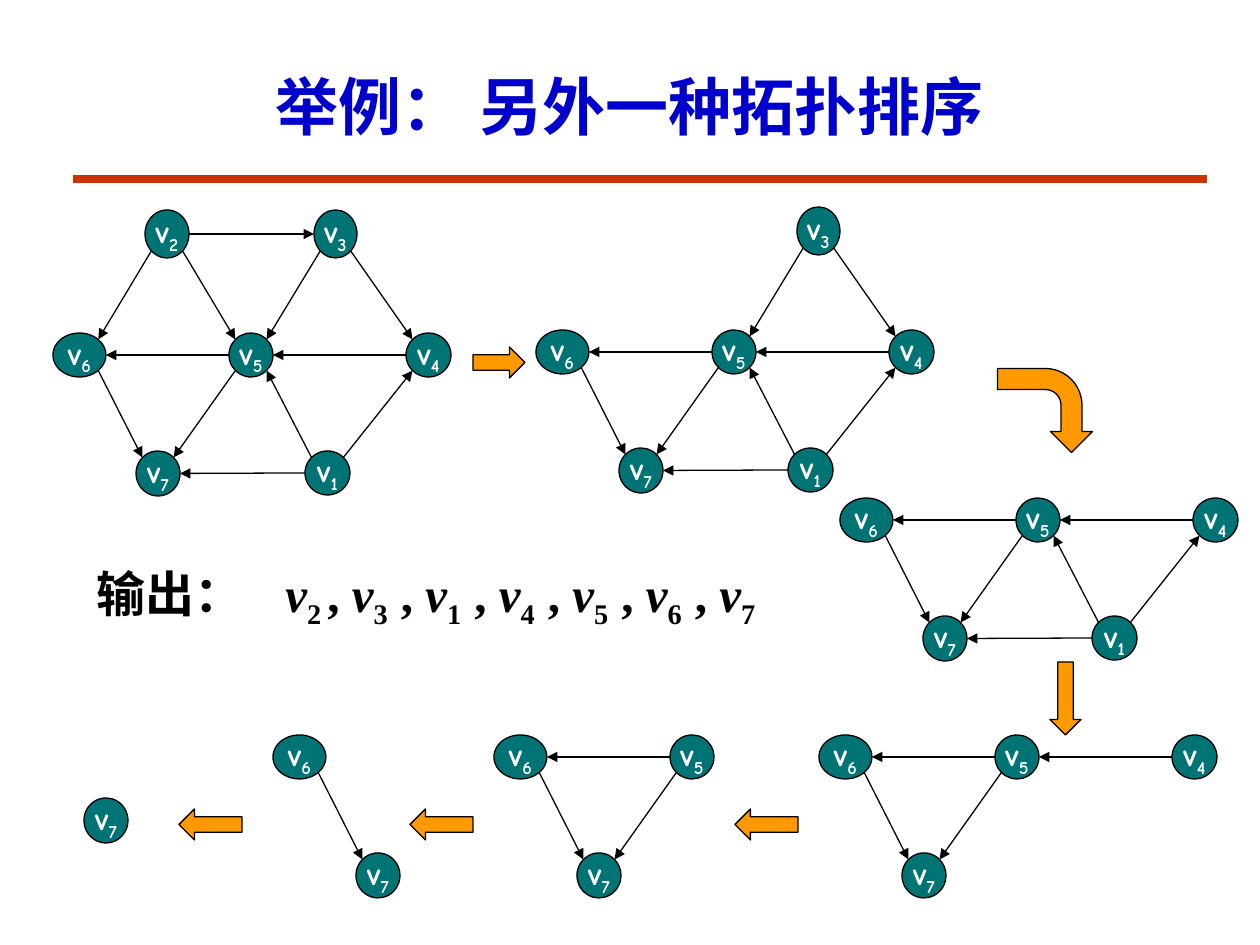
"""Build a slide that shows a second topological ordering step by step."""
import pptx
import pptx.dml.color
import pptx.enum.shapes
import pptx.enum.text
import pptx.oxml
import pptx.oxml.ns
import pptx.util

SCALE = 914400 // 126
COLORS = {"title": "0000CC", "rule": "CC3300", "node": "007374", "arrow": "FF9900",
          "ink": "000000", "label": "FFFFFF"}
TITLE = "举例： 另外一种拓扑排序"
OUTPUT = "输出："
ORDER = "2314567"
NODES = {
    "2": (92, -123, 44, 48), "3": (261, -123, 43, 48),
    "6": (0, 0, 53, 44), "5": (176, 0, 44, 44), "4": (353, 0, 45, 44),
    "7": (83, 118, 44, 45), "1": (252, 118, 45, 44),
}
EDGES = ["26", "25", "23", "34", "35", "45", "14", "15", "17", "57", "67", "56"]
ORIGINS = [(53, 333), (536, 330), (840, 498), (819, 735), (494, 735), (273, 735), (1, 680)]
SHAPE = pptx.enum.shapes.MSO_SHAPE
STEPS = [
    (SHAPE.RIGHT_ARROW, (473, 347, 52, 31), 0),
    (SHAPE.BENT_ARROW, (1003, 363, 84, 95), 90),
    (SHAPE.DOWN_ARROW, (1050, 662, 31, 73), 0),
    (SHAPE.LEFT_ARROW, (735, 809, 63, 31), 0),
    (SHAPE.LEFT_ARROW, (410, 809, 63, 31), 0),
    (SHAPE.LEFT_ARROW, (179, 809, 63, 31), 0),
]
HEADING = {"name": "Times New Roman", "size": pptx.util.Pt(36), "bold": True}
BODY = {**HEADING, "size": pptx.util.Pt(28)}
NODE_LABEL = {"name": "Comic Neue", "size": pptx.util.Pt(18), "bold": True}
DIAGONAL = 0.71


def px(*lengths):
    return [round(length * SCALE) for length in lengths]


def rgb(name):
    return pptx.dml.color.RGBColor.from_string(COLORS[name])


def add_run(paragraph, text, style, color, subscript=False, **extra):
    run = paragraph.add_run()
    run.text = text
    for key, value in {**style, **extra}.items():
        setattr(run.font, key, value)
    run.font.color.rgb = rgb(color)
    if subscript:
        run.font._element.set("baseline", "-25000")


def add_line(slide, start, end, color, width, arrow=False):
    line = slide.shapes.add_connector(
        pptx.enum.shapes.MSO_CONNECTOR.STRAIGHT, *px(*start, *end))
    line.line.color.rgb = rgb(color)
    line.line.width = pptx.util.Pt(width)
    if arrow:
        head = pptx.oxml.parse_xml(
            f'<a:tailEnd {pptx.oxml.ns.nsdecls("a")} type="triangle"/>')
        line.line._get_or_add_ln().append(head)
    line._element.spPr.append(
        pptx.oxml.parse_xml(f'<a:effectLst {pptx.oxml.ns.nsdecls("a")}/>'))


def add_filled(slide, kind, box, color):
    shape = slide.shapes.add_shape(kind, *px(*box))
    shape.shadow.inherit = False
    shape.fill.solid()
    shape.fill.fore_color.rgb = rgb(color)
    shape.line.color.rgb = rgb("ink")
    shape.line.width = pptx.util.Pt(0.75)
    return shape


def rim_point(box, right, down):
    left, top, width, height = box
    reach = DIAGONAL if down else 1
    return (left + width / 2 * (1 + right * reach),
            top + height / 2 * (1 + down * reach))


def sign(number):
    return (number > 0) - (number < 0)


def add_graph(slide, origin, remaining):
    boxes = {}
    for vertex in remaining:
        dx, dy, width, height = NODES[vertex]
        boxes[vertex] = (origin[0] + dx, origin[1] + dy, width, height)
        node = add_filled(slide, SHAPE.OVAL, boxes[vertex], "node")
        frame = node.text_frame
        frame.word_wrap = False
        frame.vertical_anchor = pptx.enum.text.MSO_ANCHOR.MIDDLE
        label = frame.paragraphs[0]
        label.alignment = pptx.enum.text.PP_ALIGN.CENTER
        add_run(label, "v", NODE_LABEL, "label")
        add_run(label, vertex, NODE_LABEL, "label", subscript=True)
    for source, target in EDGES:
        if source in boxes and target in boxes:
            right = sign(boxes[target][0] - boxes[source][0])
            down = sign(boxes[target][1] - boxes[source][1])
            add_line(slide, rim_point(boxes[source], right, down),
                     rim_point(boxes[target], -right, -down), "ink", 0.75, arrow=True)


def add_output(slide):
    caption = slide.shapes.add_textbox(*px(84, 557, 199, 84)).text_frame
    caption.word_wrap = True
    caption.paragraphs[0].space_before = pptx.util.Pt(5.6)
    add_run(caption.paragraphs[0], OUTPUT, BODY, "ink")
    for index, vertex in enumerate(ORDER):
        box = (315 + (index - 1) * 73.5, 557, 88, 72) if index else (273, 557, 64, 72)
        frame = slide.shapes.add_textbox(*px(*box)).text_frame
        frame.word_wrap = False
        frame.auto_size = pptx.enum.text.MSO_AUTO_SIZE.SHAPE_TO_FIT_TEXT
        item = frame.paragraphs[0]
        if index:
            add_run(item, ", ", BODY, "ink")
        add_run(item, "v", BODY, "ink", italic=True)
        add_run(item, vertex, BODY, "ink", subscript=True)


def main():
    deck = pptx.Presentation()
    deck.slide_width, deck.slide_height = px(1260, 945)
    slide = deck.slides.add_slide(deck.slide_layouts[5])
    add_line(slide, (73, 179), (1207, 179), "rule", 4.5)
    title = slide.shapes.title
    title.left, title.top, title.width, title.height = px(73, 42, 1113, 126)
    title.text_frame.vertical_anchor = pptx.enum.text.MSO_ANCHOR.MIDDLE
    heading = title.text_frame.paragraphs[0]
    heading.alignment = pptx.enum.text.PP_ALIGN.CENTER
    add_run(heading, TITLE, HEADING, "title")
    for removed, origin in enumerate(ORIGINS):
        add_graph(slide, origin, ORDER[removed:])
    for kind, box, rotation in STEPS:
        add_filled(slide, kind, box, "arrow").rotation = rotation
    add_output(slide)
    deck.save("out.pptx")


if __name__ == "__main__":
    main()
